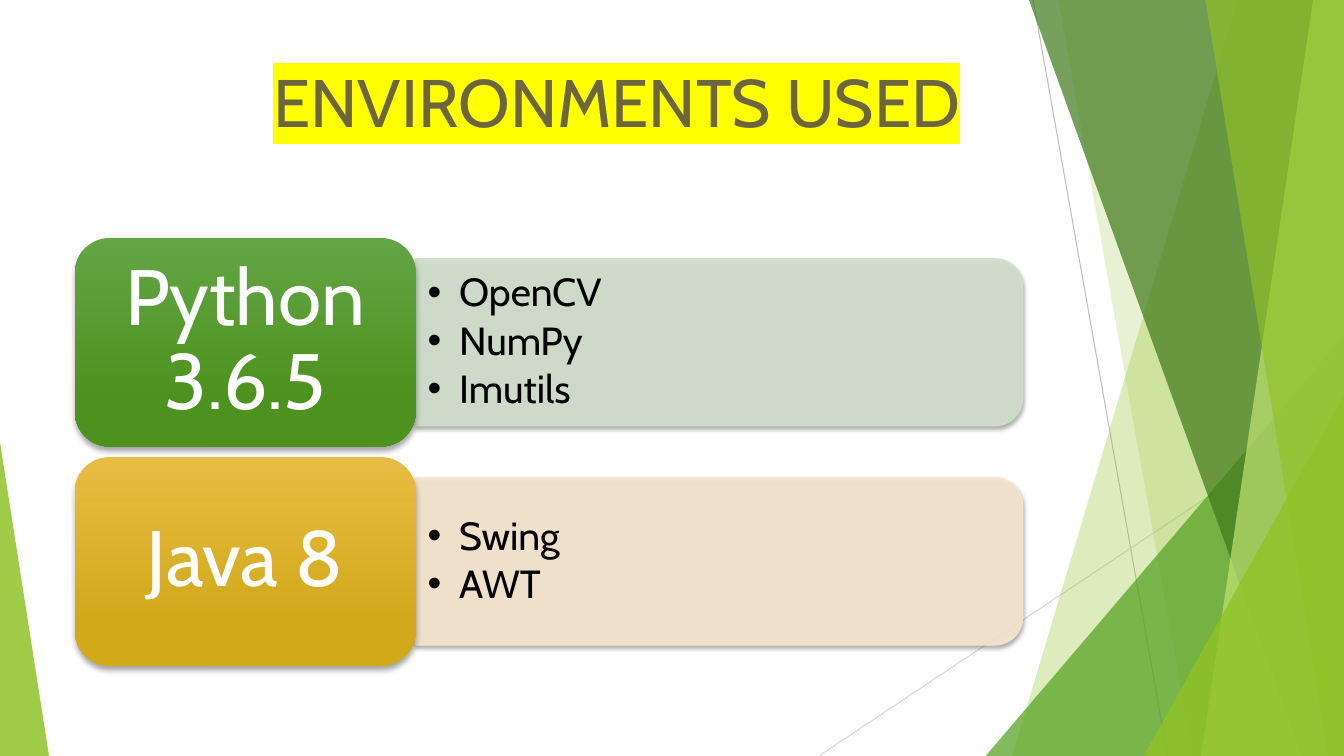
import pptx
import pptx.util
import pptx.dml.color
import pptx.enum.shapes
import pptx.enum.text
import pptx.oxml
import pptx.oxml.ns
from lxml import etree

Pt = pptx.util.Pt
qn = pptx.oxml.ns.qn
SHAPE = pptx.enum.shapes.MSO_SHAPE
ALIGN = pptx.enum.text.PP_ALIGN
ANCHOR = pptx.enum.text.MSO_ANCHOR
WIDTH, HEIGHT = 960, 540
FONT = "Cabin"
COLORS = {
    "lime": "90C226", "green": "54A021", "forest": "3F7819", "pale": "C0E474",
    "line_dark": "BFBFBF", "line_light": "D9D9D9",
    "title": "6D6540", "highlight": "FFFF00", "white": "FFFFFF", "black": "000000",
    "python_top": "63A545", "python_base": "4D921E", "python_panel": "D1DFCD",
    "java_top": "E7BC43", "java_base": "D2A91B", "java_panel": "F5E6CD",
}
ENVIRONMENTS = [
    ("python", "Python 3.6.5", ["OpenCV", "NumPy", "Imutils"]),
    ("java", "Java 8", ["Swing", "AWT"]),
]


def rgb(name):
    return pptx.dml.color.RGBColor.from_string(COLORS[name])


def apply(target, values):
    for name, value in values.items():
        setattr(target, name, value)


def set_alpha(fill_parent, percent):
    color = fill_parent.find(qn("a:solidFill"))[0]
    etree.SubElement(color, qn("a:alpha")).set("val", str(percent * 1000))


def fill_solid(shape, color, alpha):
    shape.shadow.inherit = False
    shape.fill.solid()
    shape.fill.fore_color.rgb = rgb(color)
    set_alpha(shape.element.spPr, alpha)
    shape.line.fill.background()


def add_shadow(shape, blur, distance):
    shape.shadow.inherit = False
    effects = shape.element.spPr.find(qn("a:effectLst"))
    shadow = etree.SubElement(effects, qn("a:outerShdw"))
    for name, value in {"blurRad": Pt(blur), "dist": Pt(distance),
                        "dir": 5400000, "rotWithShape": 0}.items():
        shadow.set(name, str(int(value)))
    color = etree.SubElement(shadow, qn("a:srgbClr"))
    color.set("val", COLORS["black"])
    etree.SubElement(color, qn("a:alpha")).set("val", "35000")


def style_text(paragraph, size, color, after):
    apply(paragraph, {"line_spacing": 0.9, "space_after": Pt(after)})
    apply(paragraph.font, {"name": FONT, "size": Pt(size)})
    paragraph.font.color.rgb = rgb(color)


def set_frame(frame, side, end):
    apply(frame, {
        "word_wrap": True, "vertical_anchor": ANCHOR.MIDDLE,
        "margin_left": Pt(side), "margin_right": Pt(side),
        "margin_top": Pt(end), "margin_bottom": Pt(end),
    })


def indent(paragraph, left, first):
    properties = paragraph._p.get_or_add_pPr()
    properties.set("marL", str(Pt(left)))
    properties.set("indent", str(Pt(first)))
    return properties


def add_facets(slide, right, bottom):
    """Translucent facets along the slide's edges."""
    def hairline(x1, y1, x2, y2, color):
        line = slide.shapes.add_connector(
            pptx.enum.shapes.MSO_CONNECTOR.STRAIGHT, Pt(x1), Pt(y1), Pt(x2), Pt(y2))
        line.line.width = Pt(0.75)
        line.line.color.rgb = rgb(color)
        etree.SubElement(line._element.spPr, qn("a:effectLst"))

    def band(top_x, bottom_x, color, alpha):
        builder = slide.shapes.build_freeform(top_x, 0, scale=Pt(1))
        builder.add_line_segments([(right, 0), (right, bottom), (bottom_x, bottom)])
        fill_solid(builder.convert_to_shape(), color, alpha)

    def corner(left, width, height, apex, color, alpha):
        wedge = slide.shapes.add_shape(
            SHAPE.ISOSCELES_TRIANGLE, Pt(left), Pt(bottom - height), Pt(width), Pt(height))
        wedge.adjustments[0] = apex
        fill_solid(wedge, color, alpha)

    hairline(738, 0, 834, bottom, "line_dark")
    hairline(right, 290, 585, bottom, "line_light")
    band(884, 723, "lime", 30)
    band(756, 852, "lime", 20)
    corner(right - 256, 256, 300, 1, "green", 72)
    band(735, 930, "forest", 70)
    band(938, 858, "pale", 70)
    band(861, 949, "lime", 65)
    corner(right - 143, 143, 257, 1, "lime", 80)
    corner(0, 35, 224, 0, "lime", 85)


def add_title(slide, left, top, width, height):
    title = slide.shapes.title
    apply(title, {"left": Pt(left), "top": Pt(top), "width": Pt(width), "height": Pt(height)})
    apply(title.text_frame, {"vertical_anchor": ANCHOR.TOP, "word_wrap": True,
                             "auto_size": pptx.enum.text.MSO_AUTO_SIZE.NONE})
    heading = title.text_frame.paragraphs[0]
    heading.alignment = ALIGN.LEFT
    indent(heading, 146, 0)
    run = heading.add_run()
    run.text = "ENVIRONMENTS USED"
    apply(run.font, {"name": FONT, "size": Pt(48)})
    run.font.color.rgb = rgb("title")
    highlight = etree.Element(qn("a:highlight"))
    etree.SubElement(highlight, qn("a:srgbClr")).set("val", COLORS["highlight"])
    run._r.rPr.find(qn("a:solidFill")).addnext(highlight)


def add_environment(slide, left, top, width, height, theme, name, libraries):
    """One row: a named badge with its list of libraries to the right."""
    badge_width = 243.5
    panel_left, panel_width = left + badge_width, width - badge_width
    panel_height = height * 0.8
    middle = top + height / 2

    # Panel, a tall shape turned on its side
    panel = slide.shapes.add_shape(
        SHAPE.ROUND_2_SAME_RECTANGLE,
        Pt(panel_left + (panel_width - panel_height) / 2), Pt(middle - panel_width / 2),
        Pt(panel_height), Pt(panel_width))
    panel.rotation = 90
    fill_solid(panel, theme + "_panel", 90)
    panel.line.width = Pt(1)
    panel.line.color.rgb = rgb(theme + "_panel")
    set_alpha(panel.element.spPr.find(qn("a:ln")), 90)
    add_shadow(panel, 3, 2)

    # Library list
    listing = slide.shapes.add_textbox(
        Pt(panel_left), Pt(middle - 53.5), Pt(panel_width - 6), Pt(107)).text_frame
    set_frame(listing, 8.5, 4.25)
    for index, library in enumerate(libraries):
        item = listing.add_paragraph() if index else listing.paragraphs[0]
        item.text = library
        style_text(item, 28, "black", 4.2)
        properties = indent(item, 22.5, -22.5)
        etree.SubElement(properties, qn("a:buFont")).set("typeface", "Arial")
        etree.SubElement(properties, qn("a:buChar")).set("char", "•")

    # Badge
    badge = slide.shapes.add_shape(
        SHAPE.ROUNDED_RECTANGLE, Pt(left), Pt(top), Pt(badge_width), Pt(height))
    badge.fill.gradient()
    badge.fill.gradient_angle = 270
    stops = [("_top", 0), ("_base", 0.78)]
    for stop, (part, position) in zip(badge.fill.gradient_stops, stops):
        stop.color.rgb = rgb(theme + part)
        stop.position = position
    badge.line.fill.background()
    add_shadow(badge, 4, 3)
    set_frame(badge.text_frame, 16.8, 8.4)
    label = badge.text_frame.paragraphs[0]
    label.text = name
    label.alignment = ALIGN.CENTER
    style_text(label, 56, "white", 19.6)


def main():
    deck = pptx.Presentation()
    apply(deck, {"slide_width": Pt(WIDTH), "slide_height": Pt(HEIGHT)})
    slide = deck.slides.add_slide(deck.slide_layouts[5])
    add_facets(slide, WIDTH, HEIGHT)
    add_title(slide, 42, 39.5, 677, 104)
    row_height, gap = 149, 7.5
    for row, environment in enumerate(ENVIRONMENTS):
        top = 170 + row * (row_height + gap)
        add_environment(slide, 53.5, top, 677, row_height, *environment)
    deck.save("out.pptx")


if __name__ == "__main__":
    main()
